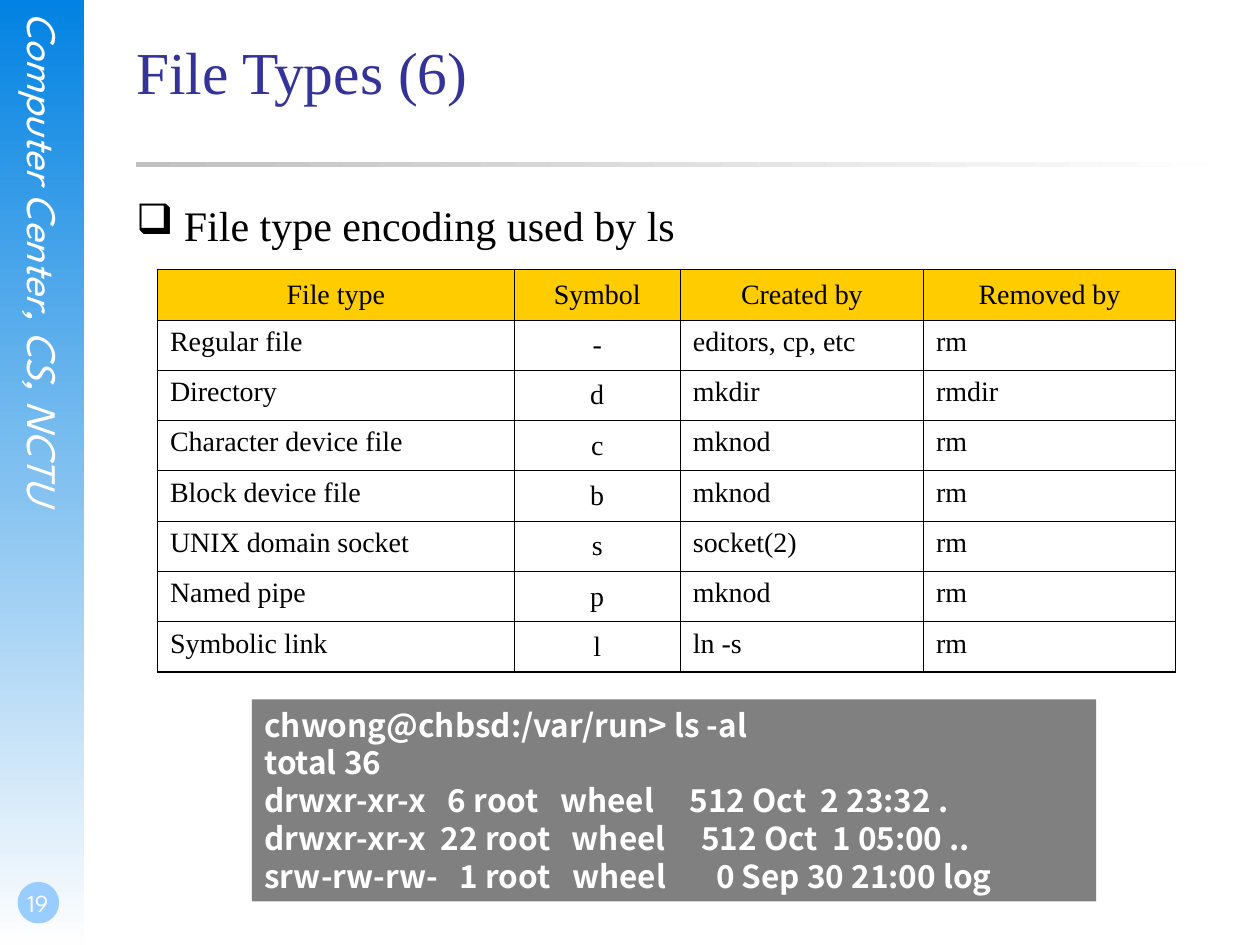
from dataclasses import dataclass

from pptx import Presentation
from pptx.dml.color import RGBColor
from pptx.enum.shapes import MSO_SHAPE as Shape
from pptx.enum.text import MSO_ANCHOR as Anchor, MSO_AUTO_SIZE as AutoSize, PP_ALIGN as Align
from pptx.oxml.ns import qn
from pptx.util import Inches, Pt
from lxml.etree import SubElement


@dataclass(frozen=True)
class Theme:
    serif: str = "Times New Roman"
    sans: str = "League Spartan"
    console: str = "Noto Sans CJK TC"
    title_size: float = 34
    body_size: float = 24
    console_size: float = 18
    cell_size: float = 16
    number_size: float = 14
    title: str = "333399"
    ink: str = "000000"
    paper: str = "FFFFFF"
    fade: str = "FEFEFE"
    sidebar: str = "0282E2"
    badge: str = "99CCFF"
    rule: str = "C0C0C0"
    header: str = "FFCC00"
    panel: str = "808080"
    outer_line: float = 1.08
    inner_line: float = 0.45


THEME = Theme()


@dataclass(frozen=True)
class Box:
    left: int
    top: int
    width: int
    height: int

    def inner(self, x, y, w, h):
        """A box inside this one, in percent of its width and height."""
        return Box(self.left + int(self.width * x / 100), self.top + int(self.height * y / 100),
                   int(self.width * w / 100), int(self.height * h / 100))

    def place(self):
        return self.left, self.top, self.width, self.height


def rgb(value):
    return RGBColor.from_string(value)


def style(paragraph, face, size, color, bold=False, italic=False, align=Align.LEFT):
    paragraph.alignment = align
    for run in paragraph.runs:
        font = run.font
        font.name, font.size, font.bold, font.italic = face, Pt(size), bold, italic
        font.color.rgb = rgb(color)


def set_frame(frame, margins=(0, 0, 0, 0), anchor=Anchor.TOP):
    frame.word_wrap = True
    frame.auto_size = AutoSize.NONE
    frame.vertical_anchor = anchor
    (frame.margin_left, frame.margin_top,
     frame.margin_right, frame.margin_bottom) = map(Inches, margins)


def add_text(slide, box, text, **frame_options):
    frame = slide.shapes.add_textbox(*box.place()).text_frame
    frame.text = text
    set_frame(frame, **frame_options)
    return frame


def add_block(slide, box, colors, kind=Shape.RECTANGLE, angle=0):
    """A shape without outline; two colours make a gradient."""
    block = slide.shapes.add_shape(kind, *box.place())
    block.shadow.inherit = False
    block.line.fill.background()
    if len(colors) == 1:
        block.fill.solid()
        block.fill.fore_color.rgb = rgb(colors[0])
    else:
        block.fill.gradient()
        block.fill.gradient_angle = angle
        for stop, color in zip(block.fill.gradient_stops, colors):
            stop.color.rgb = rgb(color)
    return block


def add_sidebar(slide, box, label, number):
    add_block(slide, box, (THEME.sidebar, THEME.fade), angle=270)

    # Vertical label
    frame = add_text(slide, box.inner(22.4, 1.33, 59.7, 68.13), label)
    frame._txBody.bodyPr.set("vert", "eaVert")
    style(frame.paragraphs[0], THEME.sans, THEME.body_size, THEME.paper,
          italic=True, align=Align.CENTER)

    # Page number badge
    add_block(slide, box.inner(20.9, 93.33, 49.25, 4.4), (THEME.badge,), Shape.OVAL)
    frame = add_text(slide, box.inner(0, 91.07, 86.57, 6.67), number,
                     margins=(0.02, 0, 0, 0.05), anchor=Anchor.BOTTOM)
    style(frame.paragraphs[0], THEME.sans, THEME.number_size, THEME.paper, align=Align.CENTER)


def add_heading(slide, box, text):
    add_block(slide, box.inner(0, 80.8, 100, 3.2), (THEME.rule, THEME.fade))
    title = slide.shapes.title
    title.left, title.top, title.width, title.height = box.place()
    title.text_frame.text = text
    set_frame(title.text_frame)
    style(title.text_frame.paragraphs[0], THEME.serif, THEME.title_size, THEME.title)


def add_bullet(slide, box, text):
    paragraph = add_text(slide, box, text).paragraphs[0]
    properties = paragraph._p.get_or_add_pPr()
    indent = Inches(0.38)
    properties.set("marL", str(indent))
    properties.set("indent", str(-indent))
    color = SubElement(properties, qn("a:buClr"))
    SubElement(color, qn("a:srgbClr"), val=THEME.ink)
    SubElement(properties, qn("a:buChar"), char="❑")
    style(paragraph, THEME.serif, THEME.body_size, THEME.ink)


def set_borders(cell, outer_sides):
    properties = cell._tc.get_or_add_tcPr()
    for side in "LRTB":
        width = THEME.outer_line if side in outer_sides else THEME.inner_line
        line = SubElement(properties, qn(f"a:ln{side}"), w=str(Pt(width)))
        fill = SubElement(line, qn("a:solidFill"))
        SubElement(fill, qn("a:srgbClr"), val=THEME.ink)


def add_type_table(slide, box, rows, column_shares, centered_column):
    last_row, last_column = len(rows) - 1, len(column_shares) - 1
    table = slide.shapes.add_table(len(rows), len(column_shares), *box.place()).table
    table.first_row = table.horz_banding = False
    for column, share in zip(table.columns, column_shares):
        column.width = int(box.width * share / sum(column_shares))
    for r, values in enumerate(rows):
        table.rows[r].height = box.height // len(rows)
        for c, value in enumerate(values):
            cell = table.cell(r, c)
            edges = {"T": r == 0, "B": r == last_row, "L": c == 0, "R": c == last_column}
            set_borders(cell, [side for side, outer in edges.items() if outer])
            if r == 0:
                cell.fill.solid()
                cell.fill.fore_color.rgb = rgb(THEME.header)
            else:
                cell.fill.background()
            centered = r == 0 or c == centered_column
            cell.vertical_anchor = Anchor.MIDDLE if centered else Anchor.TOP
            cell.text_frame.text = value
            style(cell.text_frame.paragraphs[0], THEME.serif, THEME.cell_size, THEME.ink,
                  align=Align.CENTER if centered else Align.LEFT)


def add_console(slide, box, listing):
    frame = add_block(slide, box, (THEME.panel,)).text_frame
    frame.text = listing
    set_frame(frame, margins=(0.1, 0.05, 0.1, 0.05))
    for paragraph in frame.paragraphs:
        style(paragraph, THEME.console, THEME.console_size, THEME.paper, bold=True)


FILE_TYPES = [
    ("File type", "Symbol", "Created by", "Removed by"),
    ("Regular file", "-", "editors, cp, etc", "rm"),
    ("Directory", "d", "mkdir", "rmdir"),
    ("Character device file", "c", "mknod", "rm"),
    ("Block device file", "b", "mknod", "rm"),
    ("UNIX domain socket", "s", "socket(2)", "rm"),
    ("Named pipe", "p", "mknod", "rm"),
    ("Symbolic link", "l", "ln -s", "rm"),
]
LISTING = """chwong@chbsd:/var/run> ls -al
total 36
drwxr-xr-x   6 root   wheel     512 Oct  2 23:32 .
drwxr-xr-x  22 root   wheel     512 Oct  1 05:00 ..
srw-rw-rw-   1 root   wheel       0 Sep 30 21:00 log"""


def main():
    deck = Presentation()
    deck.slide_width, deck.slide_height = Inches(10), Inches(7.5)
    slide = deck.slides.add_slide(deck.slide_layouts[5])
    page = Box(0, 0, deck.slide_width, deck.slide_height)

    add_sidebar(slide, page.inner(0, 0, 6.7, 100), "Computer Center, CS, NCTU", "19")
    add_heading(slide, page.inner(10.8, 3.73, 85, 16.67), "File Types (6)")
    add_bullet(slide, page.inner(10.8, 21.07, 85, 67.73), "File type encoding used by ls")
    add_type_table(slide, page.inner(12.5, 28.53, 80.8, 42.6), FILE_TYPES,
                   column_shares=(2.83, 1.32, 1.93, 2), centered_column=1)
    add_console(slide, page.inner(20, 74, 67, 21.4), LISTING)
    deck.save("out.pptx")


if __name__ == "__main__":
    main()
